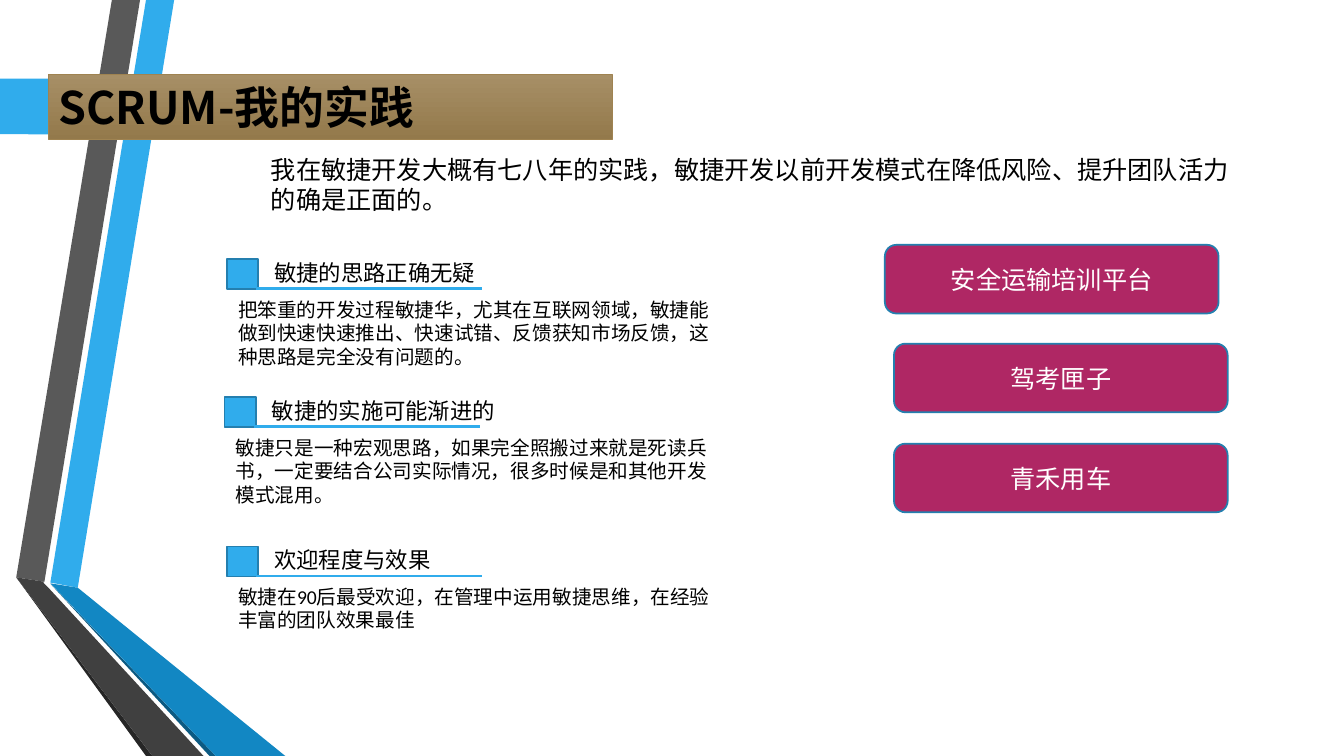
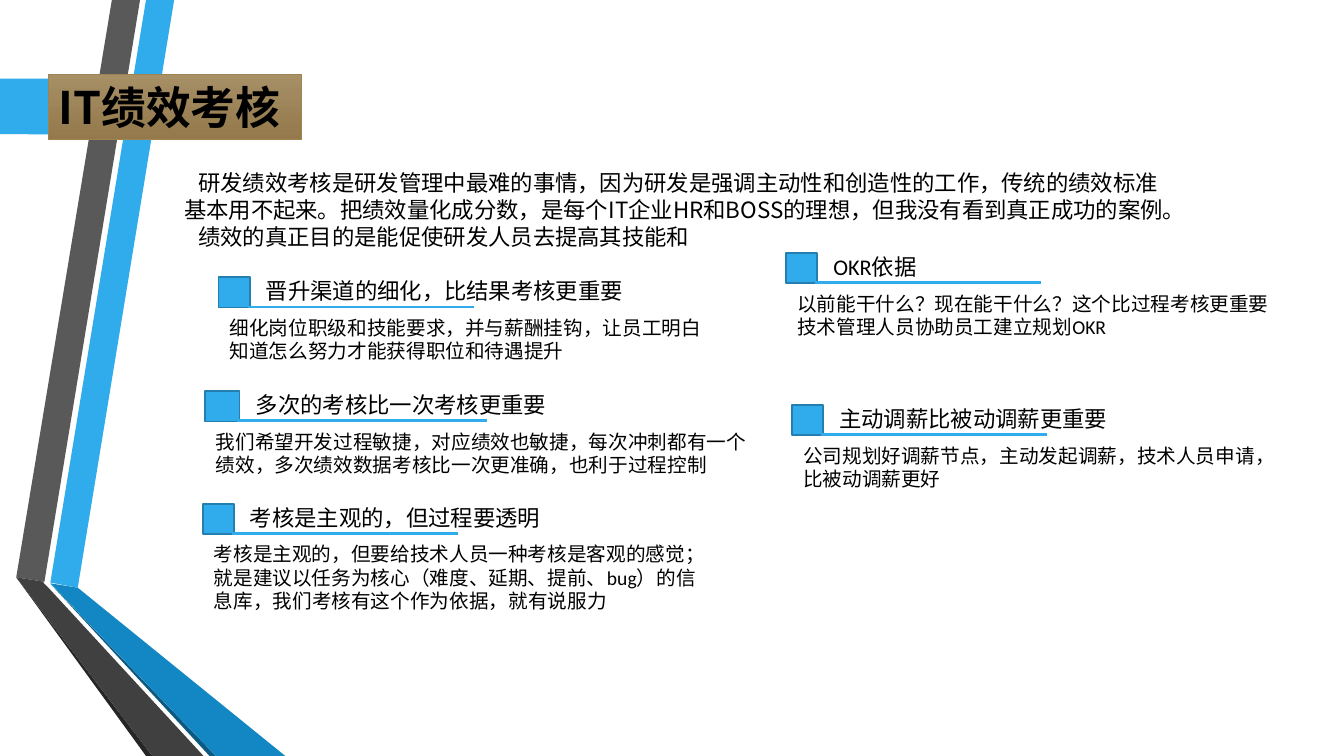
from lxml import etree
from pptx import Presentation, util as u
from pptx.dml.color import RGBColor
from pptx.enum import lang, shapes, text
from pptx.oxml import ns

BLUE, EDGE, MAGENTA = "30ACEC", "247FAF", "AF2764"
BLACK, WHITE = "000000", "FFFFFF"
GOLD_TOP, GOLD_BOTTOM, GOLD_EDGE = "A78F66", "93794B", "9F8351"
LATIN, CJK = "Calibri", "Noto Sans CJK SC"
ITEM_WIDTH = 12.78

BANDS = [
    (BLUE, [(127, 1468), (196, 1481), (439, 0), (368, 0)]),
    ("595959", [(353, 0), (282, 0), (41, 1455), (112, 1466)]),
    ("262626", [(41, 1455), (368, 1905), (384, 1905)]),
    ("0C5A82", [(127, 1471), (528, 1905), (544, 1905)]),
    ("1287C3", [(127, 1470), (544, 1905), (719, 1905), (196, 1481)]),
    ("404040", [(513, 1905), (122, 1481), (109, 1468), (112, 1466), (41, 1455), (384, 1905)]),
    (BLUE, [(439, 274), (376, 338), (371, 340), (0, 338), (0, 198), (371, 198), (376, 201), (439, 264)]),
]


def rgb(value):
    return RGBColor.from_string(value)


def box(*lengths):
    return [u.Cm(n) for n in lengths]


class Deck:
    """Holds the presentation style and the slide being drawn."""

    def __init__(self):
        self.prs = Presentation()
        self.prs.slide_width, self.prs.slide_height = box(33.87, 19.05)
        self.layout = self.prs.slide_layouts[5]

    def slide(self, title, width):
        self.s = self.prs.slides.add_slide(self.layout)
        sp = self.s.shapes.title
        sp.left, sp.top, sp.width, sp.height = box(1.22, 1.88, width, 1.63)
        sp.fill.gradient()
        sp.fill.gradient_angle = 270
        for stop, color, position in zip(sp.fill.gradient_stops, (GOLD_TOP, GOLD_BOTTOM), (0, 1)):
            stop.color.rgb, stop.position = rgb(color), position
        self.outline(sp, GOLD_EDGE, 0.75)
        tf = sp.text_frame
        tf.auto_size = text.MSO_AUTO_SIZE.NONE
        tf.margin_top = tf.margin_bottom = tf.margin_right = 0
        tf.vertical_anchor = text.MSO_ANCHOR.MIDDLE
        self.put(tf, [title], 32, name=CJK, bold=True)

    def bands(self):
        for color, points in BANDS:
            builder = self.s.shapes.build_freeform(*points[0], scale=u.Cm(0.01))
            builder.add_line_segments(points[1:], close=True)
            sp = builder.convert_to_shape()
            sp.shadow.inherit = False
            self.paint(sp, color)
            sp.line.fill.background()
            self.layout.shapes.element.append(sp.element)

    def paint(self, sp, color):
        sp.fill.solid()
        sp.fill.fore_color.rgb = rgb(color)

    def outline(self, sp, color, width):
        sp.line.color.rgb = rgb(color)
        sp.line.width = u.Pt(width)

    def put(self, tf, lines, size, color=BLACK, name=LATIN, bold=False,
            align=text.PP_ALIGN.LEFT, indent=0):
        tf.word_wrap = True
        for i, line in enumerate(lines):
            p = tf.add_paragraph() if i else tf.paragraphs[0]
            p.text = line
            p.alignment = align
            p.line_spacing = u.Pt(size * 1.2)
            if indent:
                p._p.get_or_add_pPr().set("indent", str(u.Cm(indent)))
            p.font.name, p.font.size, p.font.bold = name, u.Pt(size), bold
            p.font.color.rgb = rgb(color)
            p.font.language_id = lang.MSO_LANGUAGE_ID.SIMPLIFIED_CHINESE

    def note(self, x, y, w, h, lines, size, **style):
        sp = self.s.shapes.add_textbox(*box(x, y, w, h))
        self.put(sp.text_frame, lines, size, **style)

    def shape(self, kind, x, y, w, h, color):
        sp = self.s.shapes.add_shape(kind, *box(x, y, w, h))
        sp.shadow.inherit = False
        self.paint(sp, color)
        self.outline(sp, EDGE, 1.25)
        return sp

    def rule(self, x1, x2, y):
        ln = self.s.shapes.add_connector(shapes.MSO_CONNECTOR.STRAIGHT, *box(x1, y, x2, y))
        self.outline(ln, BLUE, 1.75)
        etree.SubElement(ln.element.spPr, ns.qn("a:effectLst"))

    def item(self, x, y, heading, *lines, width=ITEM_WIDTH):
        k = width / ITEM_WIDTH
        self.shape(shapes.MSO_SHAPE.RECTANGLE, x, y, 0.79 * k, 0.76, BLUE)
        self.rule(x + 0.74 * k, x + 6.43 * k, y + 0.74)
        self.note(x + 0.94 * k, y - 0.13, 11.5 * k, 0.94, [heading], 16)
        self.note(x + 0.03, y + 0.84, width, 1.45, lines, 14)

    def pill(self, x, y, label):
        sp = self.shape(shapes.MSO_SHAPE.ROUNDED_RECTANGLE, x, y, 8.41, 1.73, MAGENTA)
        sp.text_frame.vertical_anchor = text.MSO_ANCHOR.MIDDLE
        self.put(sp.text_frame, [label], 18, color=WHITE, align=text.PP_ALIGN.CENTER)


def main():
    deck = Deck()

    deck.slide("SCRUM-我的实践", 14.22)
    deck.bands()
    deck.note(6.58, 3.76, 24.89, 1.8, [
        "我在敏捷开发大概有七八年的实践，敏捷开发以前开发模式在降低风险、提升团队活力的确是正面的。"], 18)
    deck.item(5.72, 6.53, "敏捷的思路正确无疑",
              "把笨重的开发过程敏捷华，尤其在互联网领域，敏捷能做到快速快速推出、快速试错、反馈获知市场反馈，这种思路是完全没有问题的。")
    deck.item(5.66, 10.01, "敏捷的实施可能渐进的",
              "敏捷只是一种宏观思路，如果完全照搬过来就是死读兵书，一定要结合公司实际情况，很多时候是和其他开发模式混用。")
    deck.item(5.72, 13.77, "欢迎程度与效果",
              "敏捷在90后最受欢迎，在管理中运用敏捷思维，在经验丰富的团队效果最佳")
    deck.pill(22.3, 6.17, "安全运输培训平台")
    deck.pill(22.53, 8.66, "驾考匣子")
    deck.pill(22.53, 11.18, "青禾用车")

    deck.slide("IT绩效考核", 6.38)
    deck.note(4.39, 4.14, 25.63, 2.31, [
        "研发绩效考核是研发管理中最难的事情，因为研发是强调主动性和创造性的工作，传统的绩效标准基本用不起来。"
        "把绩效量化成分数，是每个IT企业HR和BOSS的理想，但我没有看到真正成功的案例。",
        "绩效的真正目的是能促使研发人员去提高其技能和"], 16, name=CJK, indent=0.36)
    deck.item(5.51, 6.99, "晋升渠道的细化，比结果考核更重要",
              "细化岗位职级和技能要求，并与薪酬挂钩，让员工明白知道怎么努力才能获得职位和待遇提升")
    deck.item(5.16, 9.86, "多次的考核比一次考核更重要",
              "我们希望开发过程敏捷，对应绩效也敏捷，每次冲刺都有一个绩效，多次绩效数据考核比一次更准确，也利于过程控制",
              width=14.15)
    deck.item(5.11, 12.7, "考核是主观的，但过程要透明",
              "考核是主观的，但要给技术人员一种考核是客观的感觉；就是建议以任务为核心（难度、延期、提前、bug）的信息库，"
              "我们考核有这个作为依据，就有说服力")
    deck.item(19.81, 6.38, "OKR依据",
              "以前能干什么？现在能干什么？这个比过程考核更重要", "技术管理人员协助员工建立规划OKR")
    deck.item(19.96, 10.21, "主动调薪比被动调薪更重要",
              "公司规划好调薪节点，主动发起调薪，技术人员申请，比被动调薪更好")

    deck.prs.save("out.pptx")


if __name__ == "__main__":
    main()
